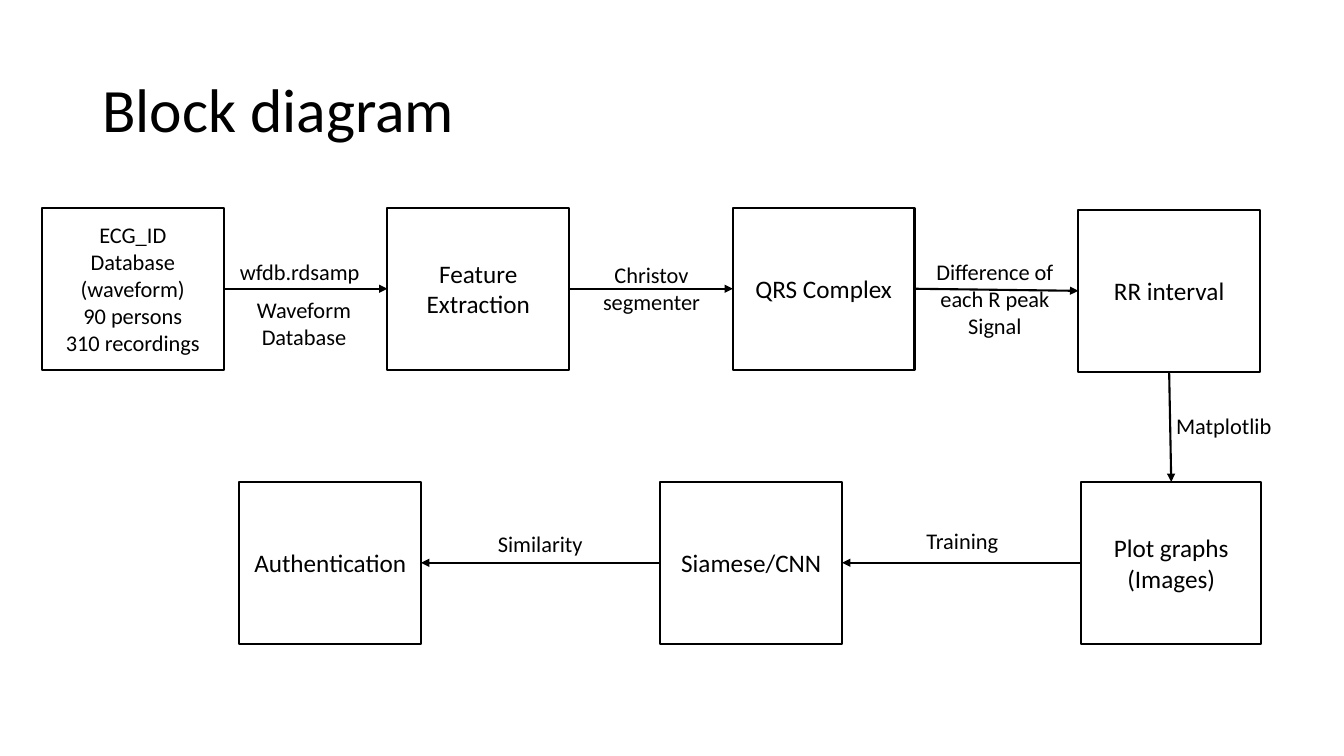
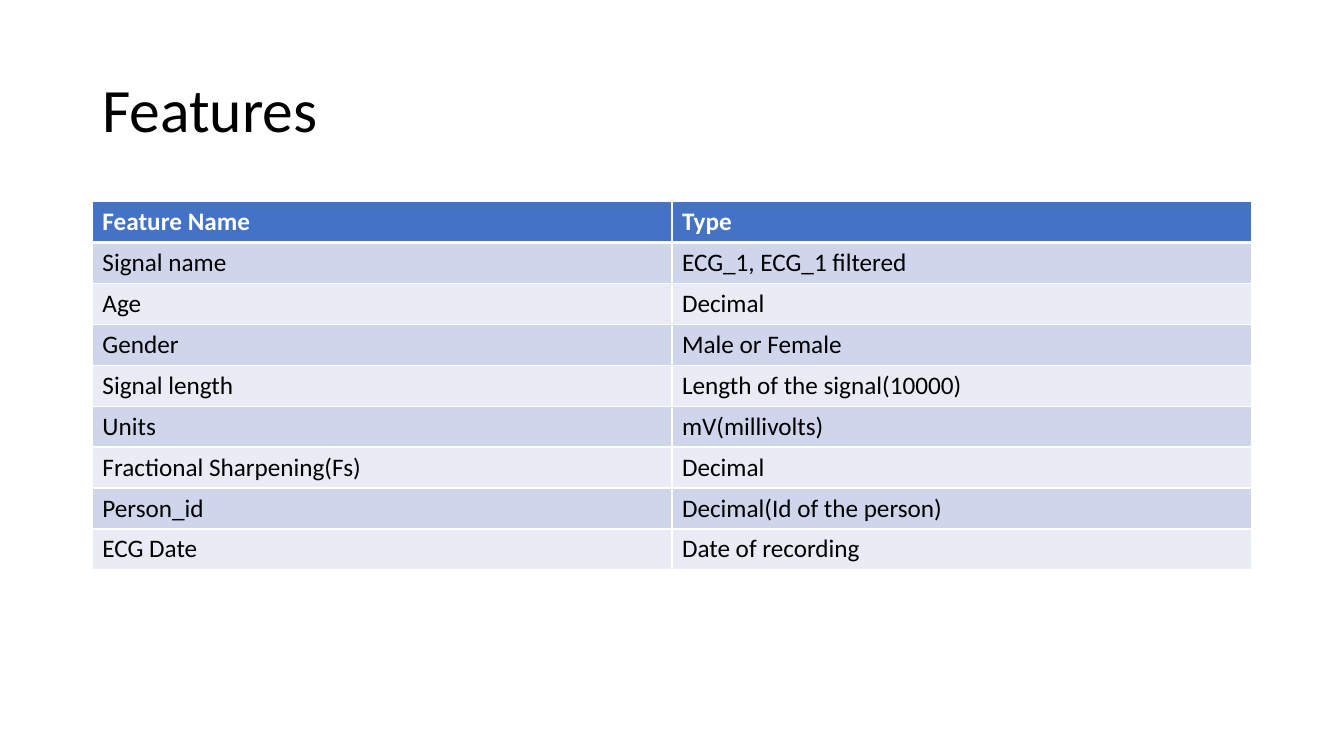
import lxml.etree
import pptx
import pptx.dml.color
import pptx.enum.shapes
import pptx.enum.text
import pptx.oxml.ns
import pptx.util

PIXEL = 9525
FONT = "Calibri"
BLACK = "000000"
WHITE = "FFFFFF"
HEADER = "4472C4"
BANDS = ("CFD5EA", "E9EBF5")
TITLE_BOX = (88, 38, 1104, 139)
DIAGRAM_BOX = (40, 198, 1161, 415)
TABLE_BOX = (88, 192, 1104, 351)
CENTER = pptx.enum.text.PP_ALIGN.CENTER
LEFT = pptx.enum.text.PP_ALIGN.LEFT
MIDDLE = pptx.enum.text.MSO_ANCHOR.MIDDLE
TOP_SITE, LEFT_SITE, BOTTOM_SITE, RIGHT_SITE = range(4)

NODES = {
    "database": (0, 0, 173,
                 ["ECG_ID", "Database", "(waveform)", "90 persons", "310 recordings"], 16),
    "extraction": (329, 0, 173, ["Feature Extraction"], 18),
    "complex": (658, 0, 173, ["QRS Complex"], 18),
    "interval": (987, 2, 173, ["RR interval"], 18),
    "graphs": (990, 261, 171, ["Plot graphs", "(Images)"], 18),
    "network": (589, 261, 173, ["Siamese/CNN"], 18),
    "authentication": (188, 261, 173, ["Authentication"], 18),
}
NODE_HEIGHT = 154
ARROWS = [
    ("database", RIGHT_SITE, "extraction", LEFT_SITE),
    ("extraction", RIGHT_SITE, "complex", LEFT_SITE),
    ("complex", RIGHT_SITE, "interval", LEFT_SITE),
    ("interval", BOTTOM_SITE, "graphs", TOP_SITE),
    ("graphs", LEFT_SITE, "network", RIGHT_SITE),
    ("network", LEFT_SITE, "authentication", RIGHT_SITE),
]
LABELS = [
    ("wfdb.rdsamp", 179, 43, 35, LEFT),
    ("Waveform Database", 179, 79, 61, CENTER),
    ("Christov segmenter", 510, 46, 61, CENTER),
    ("Difference of each R peak Signal", 837, 43, 87, CENTER),
    ("Matplotlib", 1055, 190, 35, CENTER),
    ("Training", 806, 299, 35, CENTER),
    ("Similarity", 404, 302, 35, CENTER),
]
LABEL_WIDTH = 141
FEATURES = [
    ("Feature Name", "Type"),
    ("Signal name", "ECG_1, ECG_1 filtered"),
    ("Age", "Decimal"),
    ("Gender", "Male or Female"),
    ("Signal length", "Length of the signal(10000)"),
    ("Units", "mV(millivolts)"),
    ("Fractional Sharpening(Fs)", "Decimal"),
    ("Person_id", "Decimal(Id of the person)"),
    ("ECG Date", "Date of recording"),
]


def px(*lengths):
    """Convert pixel lengths to a list of EMU lengths."""
    return [pptx.util.Emu(length * PIXEL) for length in lengths]


def color(value):
    """Return the colour for a hex string."""
    return pptx.dml.color.RGBColor.from_string(value)


def write(frame, lines, size, align=LEFT, ink=BLACK, bold=False, spacing=None):
    """Fill a text frame with one paragraph for each line."""
    frame.word_wrap = True
    for index, line in enumerate(lines):
        paragraph = frame.add_paragraph() if index else frame.paragraphs[0]
        paragraph.alignment = align
        paragraph.line_spacing = spacing
        run = paragraph.add_run()
        run.text = line
        run.font.name = FONT
        run.font.size = pptx.util.Pt(size)
        run.font.bold = bold
        run.font.color.rgb = color(ink)


def add_title(slide, text, box):
    """Place the slide title in its box."""
    frame = slide.shapes.add_textbox(*px(*box)).text_frame
    frame.vertical_anchor = MIDDLE
    write(frame, [text], 44, spacing=0.9)


def add_node(slide, box, lines, size):
    """Draw one outlined block of the diagram."""
    shape = slide.shapes.add_shape(pptx.enum.shapes.MSO_SHAPE.RECTANGLE, *px(*box))
    shape.shadow.inherit = False
    shape.fill.solid()
    shape.fill.fore_color.rgb = color(WHITE)
    shape.line.color.rgb = color(BLACK)
    shape.line.width = pptx.util.Pt(1.5)
    shape.text_frame.vertical_anchor = MIDDLE
    write(shape.text_frame, lines, size, CENTER)
    return shape


def add_arrow(slide, source, source_site, target, target_site):
    """Join two blocks with an arrow glued to their sides."""
    straight = pptx.enum.shapes.MSO_CONNECTOR.STRAIGHT
    connector = slide.shapes.add_connector(straight, 0, 0, 0, 0)
    connector.begin_connect(source, source_site)
    connector.end_connect(target, target_site)
    connector.line.color.rgb = color(BLACK)
    connector.line.width = pptx.util.Pt(1.5)
    qualified = pptx.oxml.ns.qn
    outline = connector.line._get_or_add_ln()
    lxml.etree.SubElement(outline, qualified("a:tailEnd"), type="triangle")
    lxml.etree.SubElement(connector._element.spPr, qualified("a:effectLst"))


def add_diagram(slide, box):
    """Draw the blocks, arrows and labels relative to the box."""
    left, top = box[:2]
    shapes = {
        name: add_node(slide, (left + x, top + y, width, NODE_HEIGHT), lines, size)
        for name, (x, y, width, lines, size) in NODES.items()
    }
    for source, source_site, target, target_site in ARROWS:
        add_arrow(slide, shapes[source], source_site, shapes[target], target_site)
    for text, x, y, height, align in LABELS:
        label = slide.shapes.add_textbox(*px(left + x, top + y, LABEL_WIDTH, height))
        write(label.text_frame, [text], 16, align)


def set_borders(cell, top, bottom):
    """Give a cell white borders with the top and bottom widths in points."""
    qualified = pptx.oxml.ns.qn
    properties = cell._tc.get_or_add_tcPr()
    for side, width in (("L", 1), ("R", 1), ("T", top), ("B", bottom)):
        border = lxml.etree.SubElement(
            properties, qualified("a:ln" + side), w=str(pptx.util.Pt(width)))
        fill = lxml.etree.SubElement(border, qualified("a:solidFill"))
        lxml.etree.SubElement(fill, qualified("a:srgbClr"), val=WHITE)


def add_feature_table(slide, box, rows):
    """Place a banded table that fills the box."""
    columns = len(rows[0])
    table = slide.shapes.add_table(len(rows), columns, *px(*box)).table
    for row_index, row in enumerate(rows):
        is_header = row_index == 0
        background = HEADER if is_header else BANDS[(row_index - 1) % 2]
        for column_index, text in enumerate(row):
            cell = table.cell(row_index, column_index)
            set_borders(cell, 3 if row_index == 1 else 1, 3 if is_header else 1)
            cell.fill.solid()
            cell.fill.fore_color.rgb = color(background)
            write(cell.text_frame, [text], 18,
                  ink=WHITE if is_header else BLACK, bold=is_header)


def add_slide(presentation, title):
    """Add a blank slide with the shared title."""
    slide = presentation.slides.add_slide(presentation.slide_layouts[6])
    add_title(slide, title, TITLE_BOX)
    return slide


def main():
    """Build and save the presentation."""
    presentation = pptx.Presentation()
    presentation.slide_width, presentation.slide_height = px(1280, 720)
    add_diagram(add_slide(presentation, "Block diagram"), DIAGRAM_BOX)
    add_feature_table(add_slide(presentation, "Features"), TABLE_BOX, FEATURES)
    presentation.save("out.pptx")


if __name__ == "__main__":
    main()
